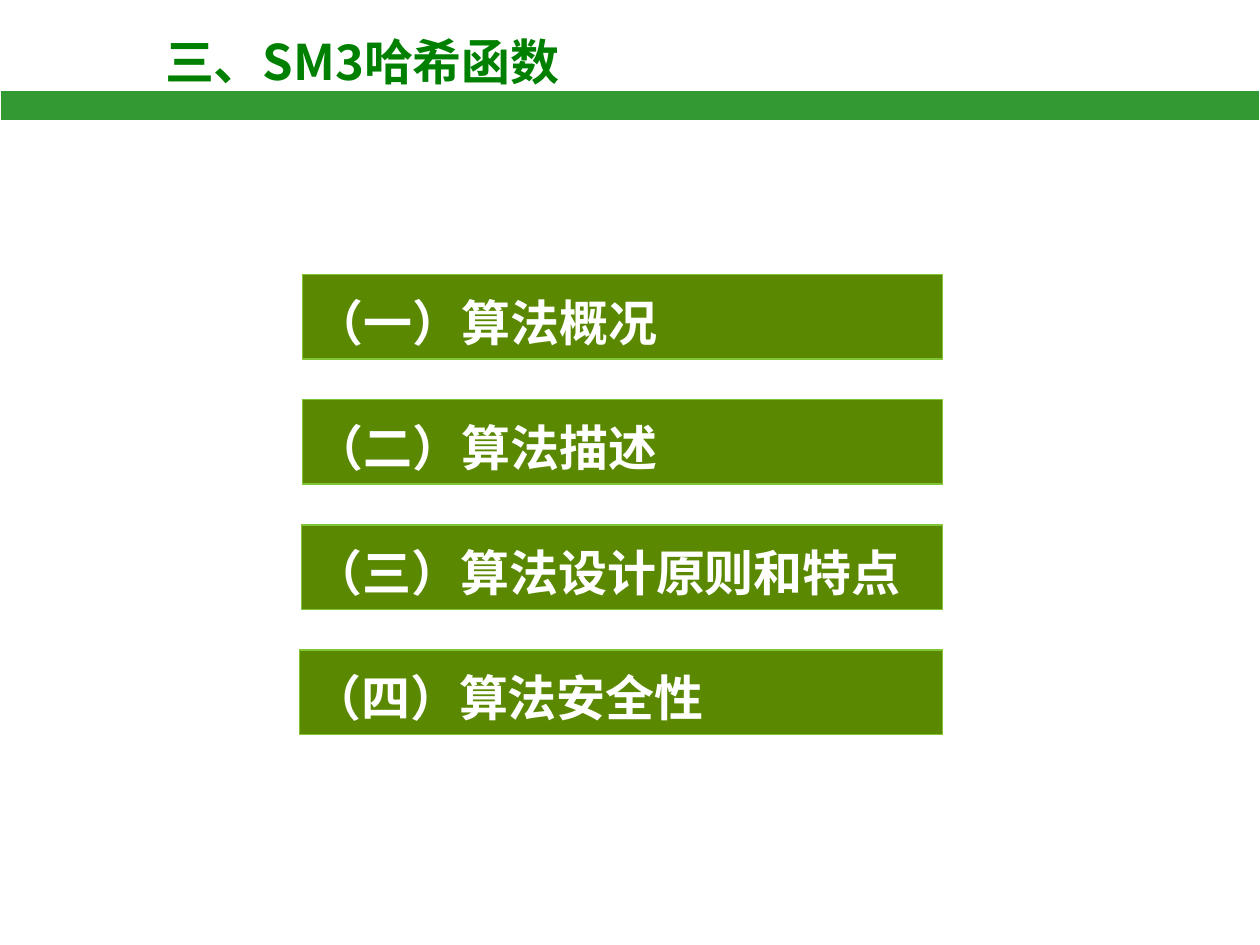
"""Build the SM3 hash function section slide with its four topics."""
from dataclasses import dataclass

from lxml import etree
from pptx import Presentation
from pptx.dml.color import RGBColor
from pptx.enum import shapes, text
from pptx.oxml import ns
from pptx.util import Inches, Pt

TITLE_GREEN = RGBColor(0x00, 0x80, 0x00)
BAND_GREEN = RGBColor(0x33, 0x99, 0x33)
TOPIC_GREEN = RGBColor(0x5A, 0x88, 0x00)
TOPIC_EDGE = RGBColor(0x80, 0xC5, 0x35)
WHITE = RGBColor(0xFF, 0xFF, 0xFF)
HAN_FONT = "Noto Sans CJK SC"
TOPIC_TOP, TOPIC_STEP, TOPIC_RIGHT = 2.18, 0.993, 7.48


@dataclass
class Topic:
    label: str
    left: float


TOPICS = [
    Topic("（一）算法概况", 2.4),
    Topic("（二）算法描述", 2.4),
    Topic("（三）算法设计原则和特点", 2.39),
    Topic("（四）算法安全性", 2.38),
]


def add_heading_run(paragraph, words: str, latin_font: str, color: RGBColor) -> None:
    paragraph.alignment = text.PP_ALIGN.LEFT
    run = paragraph.add_run()
    run.text = words
    run.font.size = Pt(28)
    run.font.bold = True
    run.font.name = latin_font
    run.font.color.rgb = color
    east_asian = etree.SubElement(run.font._element, ns.qn("a:ea"))
    east_asian.set("typeface", HAN_FONT)


def add_bar(slide, left: float, top: float, width: float, height: float,
            fill: RGBColor, edge: RGBColor):
    bar = slide.shapes.add_shape(shapes.MSO_SHAPE.RECTANGLE, Inches(left),
                                 Inches(top), Inches(width), Inches(height))
    bar.shadow.inherit = False
    bar.fill.solid()
    bar.fill.fore_color.rgb = fill
    bar.line.color.rgb = edge
    bar.line.width = Pt(0.75)
    return bar


def add_topic(slide, topic: Topic, top: float) -> None:
    bar = add_bar(slide, topic.left, top, TOPIC_RIGHT - topic.left, 0.67,
                  TOPIC_GREEN, TOPIC_EDGE)
    frame = bar.text_frame
    frame.word_wrap = True
    frame.vertical_anchor = text.MSO_ANCHOR.TOP
    paragraph = frame.paragraphs[0]
    paragraph.line_spacing = 1.2
    paragraph.space_before = Pt(6)
    add_heading_run(paragraph, topic.label, "Times New Roman", WHITE)


def format_title(title) -> None:
    title.left, title.top = Inches(1.21), Inches(0.2)
    title.width, title.height = Inches(4.47), Inches(0.57)
    frame = title.text_frame
    frame.word_wrap = True
    frame.auto_size = text.MSO_AUTO_SIZE.NONE
    frame.vertical_anchor = text.MSO_ANCHOR.TOP
    add_heading_run(frame.paragraphs[0], "三、SM3哈希函数", HAN_FONT, TITLE_GREEN)


def main() -> None:
    deck = Presentation()
    deck.slide_width, deck.slide_height = Inches(10), Inches(7.5)
    slide = deck.slides.add_slide(deck.slide_layouts[5])
    format_title(slide.shapes.title)
    add_bar(slide, 0, 0.72, 10, 0.24, BAND_GREEN, WHITE)
    for row, topic in enumerate(TOPICS):
        add_topic(slide, topic, TOPIC_TOP + row * TOPIC_STEP)
    deck.save("out.pptx")


if __name__ == "__main__":
    main()
